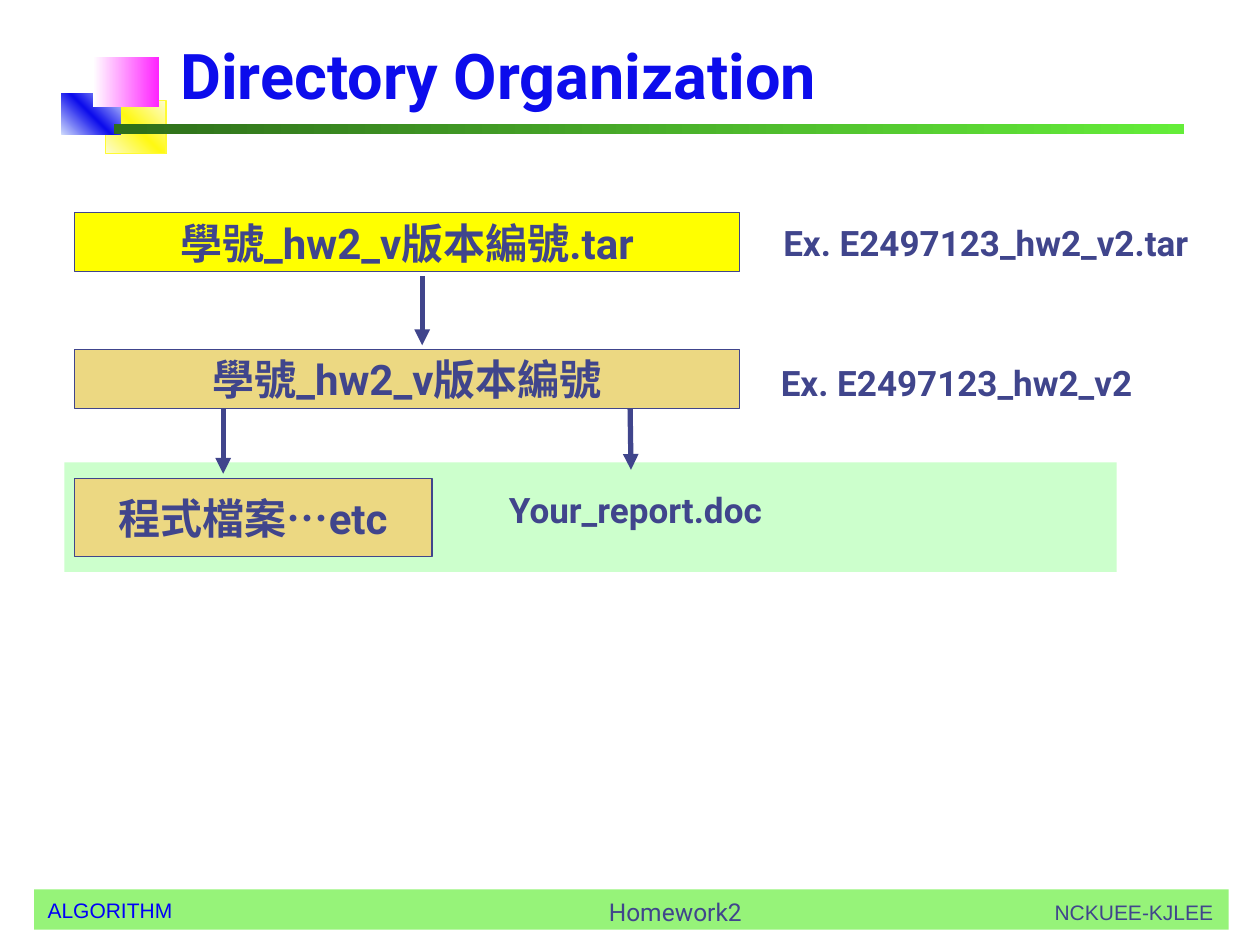
from dataclasses import dataclass

import lxml.etree
import pptx
import pptx.dml.color
import pptx.enum.shapes
import pptx.enum.text
import pptx.oxml.ns
import pptx.util

Cm = pptx.util.Cm
Align = pptx.enum.text.PP_ALIGN
Anchor = pptx.enum.text.MSO_ANCHOR

COLORS = {
    "ink": "40458C", "title": "0C0CEC", "course": "0000F8",
    "footer": "96F379", "panel": "CCFFCC", "archive": "FFFF00",
    "folder": "ECD882", "cream": "FDFCD3", "lemon": "FFF913",
    "lemon edge": "FFFB33", "pale blue": "CFDBFD", "blue": "0C0CEC",
    "dark green": "2E6E1A", "light green": "64ED39",
    "white": "FFFFFF", "pink": "FF23FF",
}


@dataclass
class Frame:
    left: float
    top: float
    width: float
    height: float

    def lengths(self) -> list:
        return [Cm(value) for value in (self.left, self.top, self.width, self.height)]


@dataclass
class Label:
    text: str
    size: int = 24
    bold: bool = True
    color: str = "ink"
    font: str = "Roboto"
    align: Align = Align.CENTER
    anchor: Anchor = Anchor.MIDDLE
    wrap: bool = False


@dataclass
class Ornament:
    frame: Frame
    stops: list[str]
    angle: int
    edge: str = ""


@dataclass
class Arrow:
    start: tuple[float, float]
    end: tuple[float, float]


def rgb(name: str) -> pptx.dml.color.RGBColor:
    return pptx.dml.color.RGBColor.from_string(COLORS[name])


def write(shape, label: Label) -> None:
    text_frame = shape.text_frame
    text_frame.auto_size = pptx.enum.text.MSO_AUTO_SIZE.NONE
    text_frame.word_wrap = label.wrap
    text_frame.vertical_anchor = label.anchor
    para = text_frame.paragraphs[0]
    para.alignment = label.align
    run = para.add_run()
    run.text = label.text
    run.font.name = label.font
    run.font.size = pptx.util.Pt(label.size)
    run.font.bold = label.bold
    run.font.color.rgb = rgb(label.color)


def add_text(page, frame: Frame, label: Label) -> None:
    write(page.shapes.add_textbox(*frame.lengths()), label)


def add_box(page, frame: Frame, fill: str, edge: str = ""):
    box = page.shapes.add_shape(pptx.enum.shapes.MSO_SHAPE.RECTANGLE, *frame.lengths())
    box.shadow.inherit = False
    box.fill.solid()
    box.fill.fore_color.rgb = rgb(fill)
    if edge:
        box.line.color.rgb = rgb(edge)
        box.line.width = pptx.util.Pt(0.75)
    else:
        box.line.fill.background()
    return box


def add_ornament(page, ornament: Ornament) -> None:
    box = add_box(page, ornament.frame, ornament.stops[0], ornament.edge)
    qn = pptx.oxml.ns.qn
    solid = box.fill._xPr.find(qn("a:solidFill"))
    gradient = lxml.etree.Element(qn("a:gradFill"), rotWithShape="1")
    stop_list = lxml.etree.SubElement(gradient, qn("a:gsLst"))
    step = 100000 // (len(ornament.stops) - 1)
    for index, name in enumerate(ornament.stops):
        stop = lxml.etree.SubElement(stop_list, qn("a:gs"), pos=str(index * step))
        lxml.etree.SubElement(stop, qn("a:srgbClr"), val=COLORS[name])
    lxml.etree.SubElement(gradient, qn("a:lin"), ang=str(ornament.angle * 60000), scaled="0")
    solid.getparent().replace(solid, gradient)


def add_arrow(page, arrow: Arrow) -> None:
    ends = [Cm(value) for value in arrow.start + arrow.end]
    line = page.shapes.add_connector(pptx.enum.shapes.MSO_CONNECTOR.STRAIGHT, *ends)
    line.line.color.rgb = rgb("ink")
    line.line.width = pptx.util.Pt(3)
    qn = pptx.oxml.ns.qn
    lxml.etree.SubElement(line.line._get_or_add_ln(), qn("a:tailEnd"), type="triangle")
    lxml.etree.SubElement(line._element.spPr, qn("a:effectLst"))


ORNAMENTS = [
    Ornament(Frame(2.13, 2.03, 1.22, 1.07), ["cream", "lemon", "cream"], 315, "lemon edge"),
    Ornament(Frame(1.24, 1.88, 1.19, 0.84), ["pale blue", "blue", "pale blue"], 315),
    Ornament(Frame(2.29, 2.51, 21.59, 0.2), ["dark green", "light green"], 0),
    Ornament(Frame(1.88, 1.14, 1.32, 1.02), ["white", "pink"], 0),
]
FOOTERS = [
    (Frame(0.71, 17.96, 11.28, 0.76),
     Label("ALGORITHM", 12, False, "course", "Arial", Align.LEFT, Anchor.TOP, True)),
    (Frame(19.38, 18.01, 5.33, 0.76),
     Label("NCKUEE-KJLEE", 12, False, "ink", "Arial", Align.RIGHT, Anchor.TOP, True)),
    (Frame(11.61, 17.53, 4.01, 1.27),
     Label("Homework2", 14, False, anchor=Anchor.BOTTOM, wrap=True)),
]
NODES = [
    (Frame(1.5, 4.29, 13.41, 1.19), "archive", "學號_hw2_v版本編號.tar"),
    (Frame(1.5, 7.04, 13.41, 1.19), "folder", "學號_hw2_v版本編號"),
    (Frame(1.5, 9.65, 7.21, 1.57), "folder", "程式檔案…etc"),
]
NOTES = [
    (Frame(16.49, 4.29, 6.6, 1.19), " Ex. E2497123_hw2_v2.tar"),
    (Frame(15.9, 7.11, 6.6, 1.19), " Ex. E2497123_hw2_v2"),
    (Frame(9.83, 9.68, 5.79, 1.19), " Your_report.doc"),
]
ARROWS = [
    Arrow((8.51, 5.56), (8.51, 6.96)),
    Arrow((4.5, 8.13), (4.5, 9.55)),
    Arrow((12.7, 8.08), (12.72, 9.47)),
]


def main() -> None:
    deck = pptx.Presentation()
    deck.slide_width, deck.slide_height = Cm(25.4), Cm(19.05)
    page = deck.slides.add_slide(deck.slide_layouts[5])

    title = page.shapes.title
    title.left, title.top, title.width, title.height = Frame(3.38, 0.28, 19.69, 2.11).lengths()
    write(title, Label("Directory Organization", 36, color="title",
                       align=Align.LEFT, anchor=Anchor.BOTTOM, wrap=True))

    add_box(page, Frame(0.69, 17.93, 24.08, 0.81), "footer")
    for frame, label in FOOTERS:
        add_text(page, frame, label)
    for ornament in ORNAMENTS:
        add_ornament(page, ornament)

    add_box(page, Frame(1.3, 9.32, 21.21, 2.21), "panel")
    for arrow in ARROWS:
        add_arrow(page, arrow)
    for frame, fill, text in NODES:
        write(add_box(page, frame, fill, "ink"), Label(text))
    for frame, text in NOTES:
        add_text(page, frame, Label(text, 20))

    deck.save("out.pptx")


if __name__ == "__main__":
    main()
